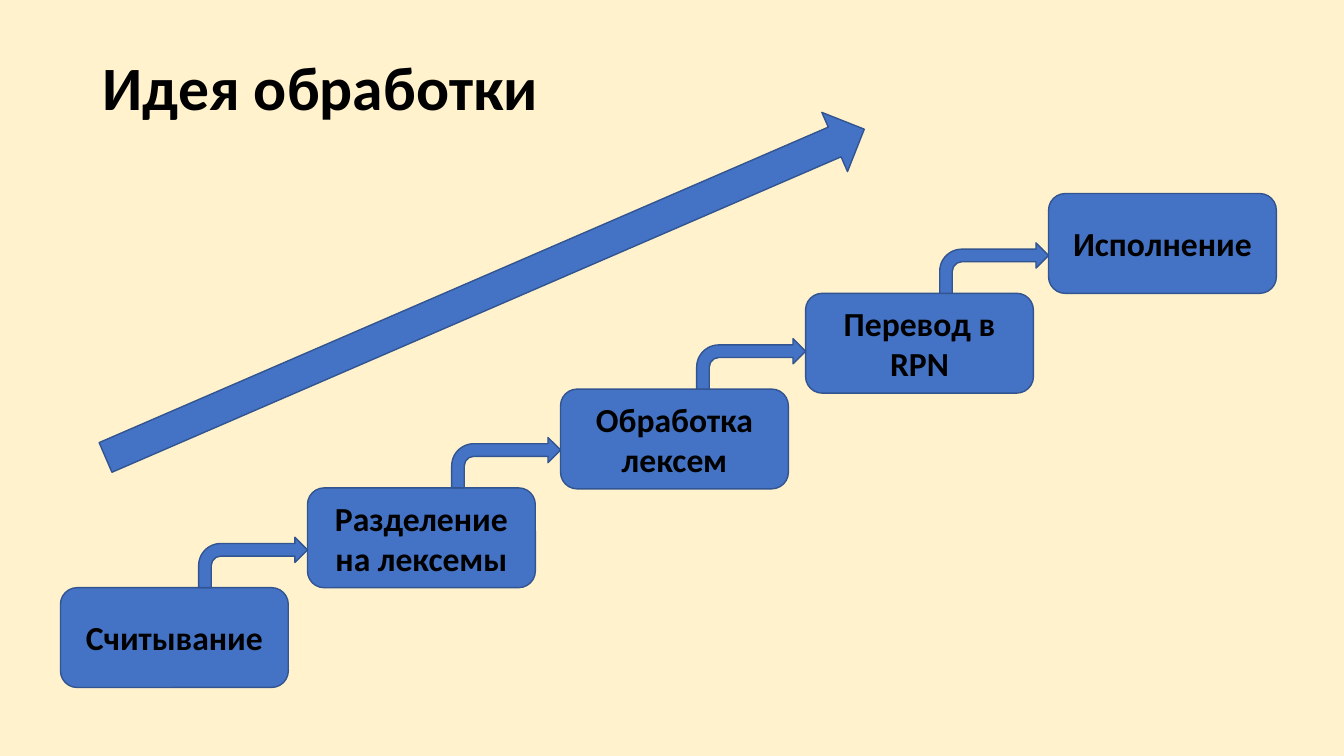
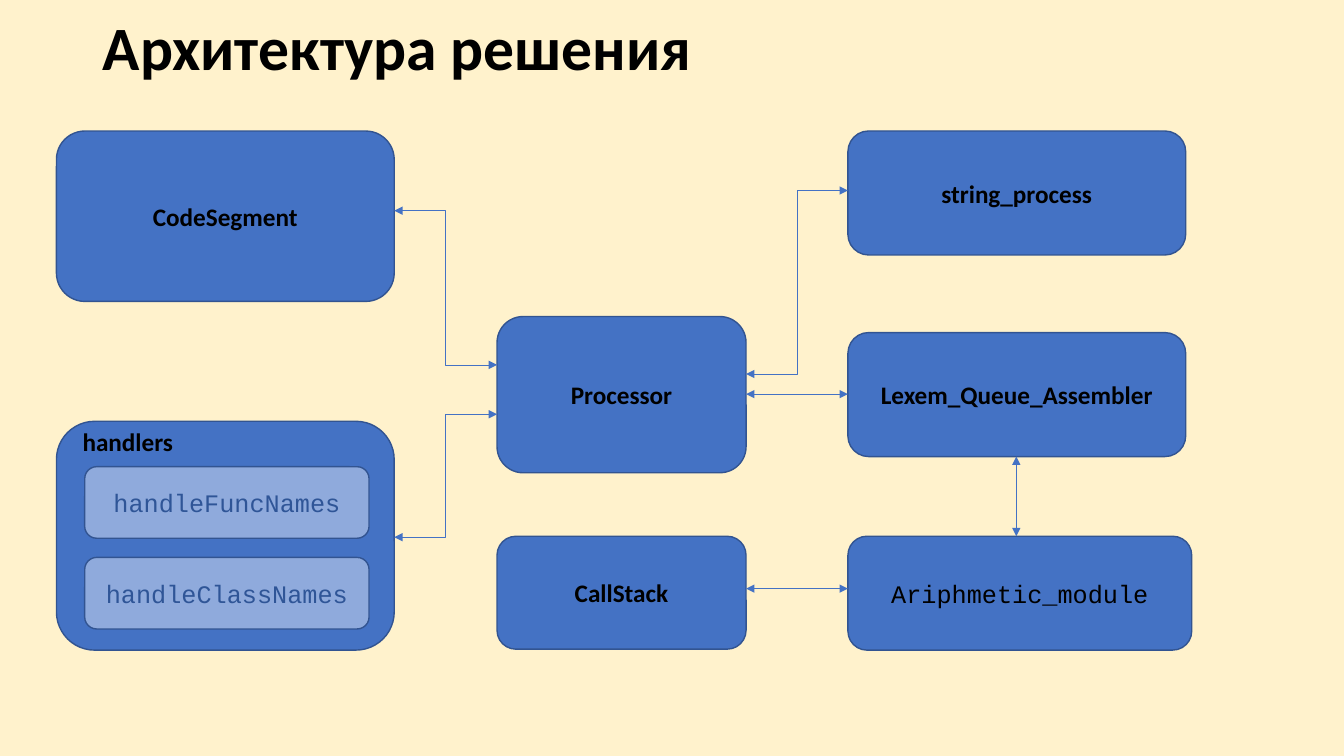
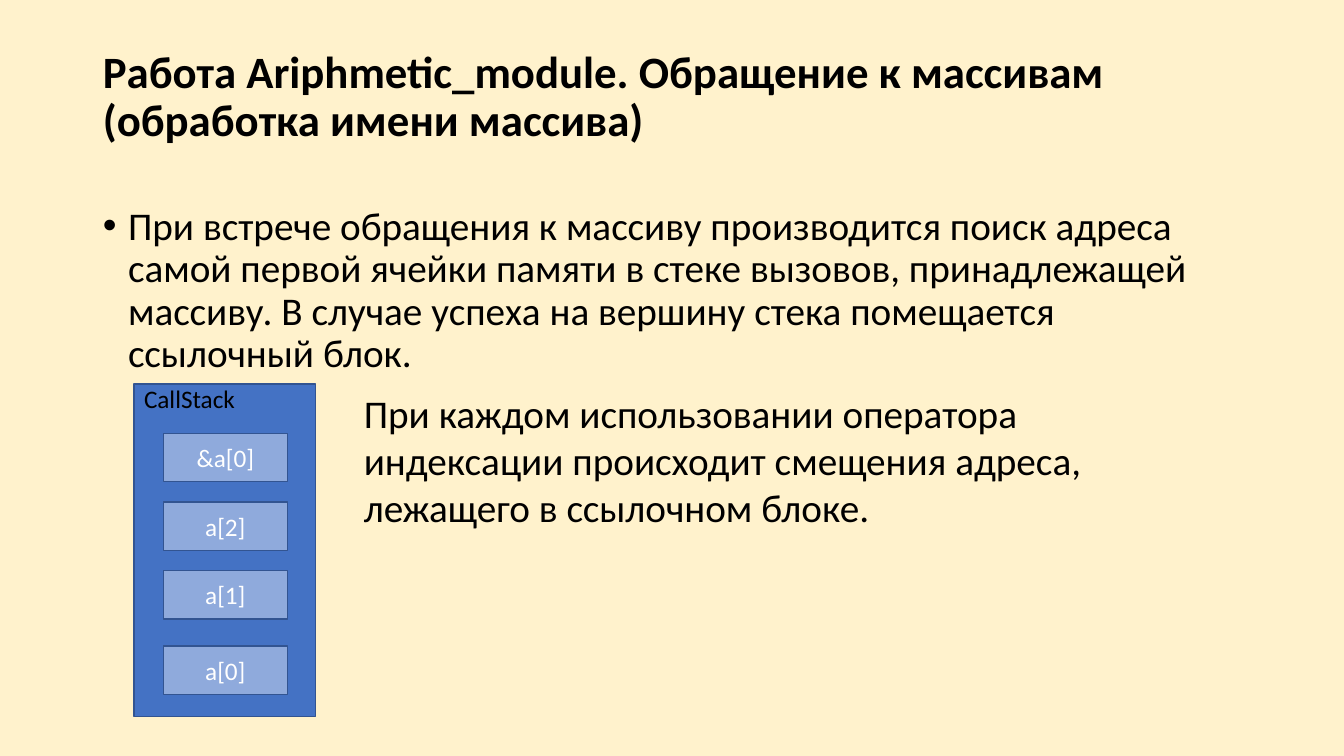
from itertools import pairwise

from lxml import etree
from pptx import Presentation
from pptx.dml.color import RGBColor
from pptx.enum.shapes import MSO_CONNECTOR, MSO_SHAPE
from pptx.enum.text import MSO_ANCHOR, MSO_AUTO_SIZE, PP_ALIGN
from pptx.oxml.ns import qn
from pptx.util import Inches, Pt

HUES = {"page": "FFF2CC", "box": "4472C4", "edge": "325491",
        "pale": "8FAADC", "deep": "2F5597", "ink": "000000",
        "white": "FFFFFF"}
STEP = {"size": 24, "bold": True}
PART = {"size": 18, "bold": True}
CODE = {"size": 18, "name": "Courier New"}
ITEM = {"size": 18, "hue": "white"}


def hue(key):
    return RGBColor.from_string(HUES[key])


def place(item, at):
    for side, num in zip(("left", "top", "width", "height"), at):
        setattr(item, side, Inches(num))


class Deck:
    def __init__(self):
        self.prs = Presentation()
        self.prs.slide_width = Inches(13.33)
        self.prs.slide_height = Inches(7.5)
        fill = self.prs.slide_master.background.fill
        fill.solid()
        fill.fore_color.rgb = hue("page")
        self.slide = None

    def page(self, title, at, size=44, layout=5):
        self.slide = self.prs.slides.add_slide(self.prs.slide_layouts[layout])
        head = self.slide.shapes.title
        place(head, at)
        self.label(head, title, PP_ALIGN.LEFT, size=size, bold=True)
        head.text_frame.paragraphs[0].line_spacing = 0.9

    def label(self, item, text, align, anchor=MSO_ANCHOR.MIDDLE, **look):
        frame = item.text_frame
        frame.text = text
        form = {"word_wrap": True, "auto_size": MSO_AUTO_SIZE.NONE,
                "vertical_anchor": anchor}
        for key, val in form.items():
            setattr(frame, key, val)
        para = frame.paragraphs[0]
        para.alignment = align
        font = para.runs[0].font
        look = {"name": "Calibri", "bold": False, "hue": "ink"} | look
        font.color.rgb = hue(look.pop("hue"))
        look["size"] = Pt(look["size"])
        for key, val in look.items():
            setattr(font, key, val)

    def body(self, text, at):
        """Fill the body placeholder with one bulleted paragraph."""
        item = self.slide.placeholders[1]
        place(item, at)
        self.label(item, text, PP_ALIGN.LEFT, MSO_ANCHOR.TOP, size=28)
        para = item.text_frame.paragraphs[0]
        para.line_spacing = 0.9
        para.space_before = Pt(10)
        props = para._p.get_or_add_pPr()
        props.set("marL", str(Inches(0.25)))
        props.set("indent", str(Inches(-0.25)))
        etree.SubElement(props, qn("a:buChar"), char="•")

    def note(self, text, at, **look):
        item = self.slide.shapes.add_textbox(*map(Inches, at))
        self.label(item, text, PP_ALIGN.LEFT, MSO_ANCHOR.TOP, **look)

    def shape(self, kind, at, text="", fill="box", turn=0, **look):
        item = self.slide.shapes.add_shape(kind, *map(Inches, at))
        item.shadow.inherit = False
        item.rotation = turn
        item.fill.solid()
        item.fill.fore_color.rgb = hue(fill)
        item.line.color.rgb = hue("edge")
        item.line.width = Pt(1)
        if text:
            self.label(item, text, PP_ALIGN.CENTER, **look)

    def link(self, x1, y1, x2, y2):
        """Join two points with a line that has an arrowhead at each end."""
        flat = x1 == x2 or y1 == y2
        kind = MSO_CONNECTOR.STRAIGHT if flat else MSO_CONNECTOR.ELBOW
        item = self.slide.shapes.add_connector(
            kind, *map(Inches, (x1, y1, x2, y2)))
        item.line.color.rgb = hue("box")
        item.line.width = Pt(0.5)
        props = item._element.spPr
        line = props.find(qn("a:ln"))
        for end in ("a:headEnd", "a:tailEnd"):
            etree.SubElement(line, qn(end), type="triangle")
        etree.SubElement(props, qn("a:effectLst"))


def idea(deck):
    deck.page("Идея обработки", (0.92, 0.4, 11.5, 0.99))
    steps = [("Считывание", 0.6, 5.83),
             ("Разделение на лексемы", 3.05, 4.84),
             ("Обработка лексем", 5.56, 3.86),
             ("Перевод в RPN", 7.99, 2.91),
             ("Исполнение", 10.4, 1.92)]
    for text, x, y in steps:
        deck.shape(MSO_SHAPE.ROUNDED_RECTANGLE, (x, y, 2.26, 0.99),
                   text, **STEP)
    for (_, _, y), (_, x, _) in pairwise(steps):
        deck.shape(MSO_SHAPE.BENT_ARROW, (x - 1.08, y - 0.5, 1.08, 0.5))
    deck.shape(MSO_SHAPE.RIGHT_ARROW, (0.71, 2.59, 8.2, 0.64), turn=336.6)


def design(deck):
    deck.page("Архитектура решения", (0.92, 0.21, 6.26, 0.59))
    left, mid, right = 0.56, 4.93, 8.41
    parts = [("Processor", (mid, 3.14, 2.47, 1.55), PART),
             ("CodeSegment", (left, 1.3, 3.35, 1.69), PART),
             ("Lexem_Queue_Assembler", (right, 3.3, 3.35, 1.23), PART),
             ("", (left, 4.18, 3.35, 2.27), PART),
             ("Ariphmetic_module", (right, 5.32, 3.41, 1.13), CODE),
             ("string_process", (right, 1.3, 3.35, 1.23), PART),
             ("CallStack", (mid, 5.32, 2.47, 1.12), PART)]
    for text, at, look in parts:
        deck.shape(MSO_SHAPE.ROUNDED_RECTANGLE, at, text, **look)
    deck.note("handlers", (0.72, 4.18, 1.28, 0.4), **PART)
    for text, y in (("handleFuncNames", 4.63), ("handleClassNames", 5.53)):
        deck.shape(MSO_SHAPE.ROUNDED_RECTANGLE, (0.84, y, 2.82, 0.71),
                   text, "pale", hue="deep", **CODE)
    for y1, y2 in ((5.33, 4.11), (2.09, 3.62)):
        deck.link(left + 3.35, y1, mid, y2)
    for y1, y2 in ((3.71, 1.89), (3.91, 3.91), (5.84, 5.84)):
        deck.link(mid + 2.47, y1, right, y2)
    deck.link(10.08, 4.53, 10.08, 5.32)


def arrays(deck):
    deck.page("Работа Ariphmetic_module. Обращение к массивам "
              "(обработка имени массива)", (0.92, 0.4, 11.5, 1.15), 32, 1)
    deck.body("При встрече обращения к массиву производится поиск адреса "
              "самой первой ячейки памяти в стеке вызовов, принадлежащей "
              "массиву. В случае успеха на вершину стека помещается "
              "ссылочный блок.", (0.92, 2, 11.5, 4.76))
    deck.shape(MSO_SHAPE.RECTANGLE, (1.33, 3.81, 1.8, 3.3))
    cells = {"&a[0]": 4.3, "a[2]": 4.98, "a[1]": 5.66, "a[0]": 6.41}
    for text, y in cells.items():
        deck.shape(MSO_SHAPE.RECTANGLE, (1.62, y, 1.23, 0.48),
                   text, "pale", **ITEM)
    deck.note("CallStack", (1.33, 3.75, 1.21, 0.4), size=18)
    deck.note("При каждом использовании оператора индексации происходит "
              "смещения адреса, лежащего в ссылочном блоке.",
              (3.51, 3.81, 8.25, 1.5), size=28)


def main():
    deck = Deck()
    for build in (idea, design, arrays):
        build(deck)
    deck.prs.save("out.pptx")


if __name__ == "__main__":
    main()
